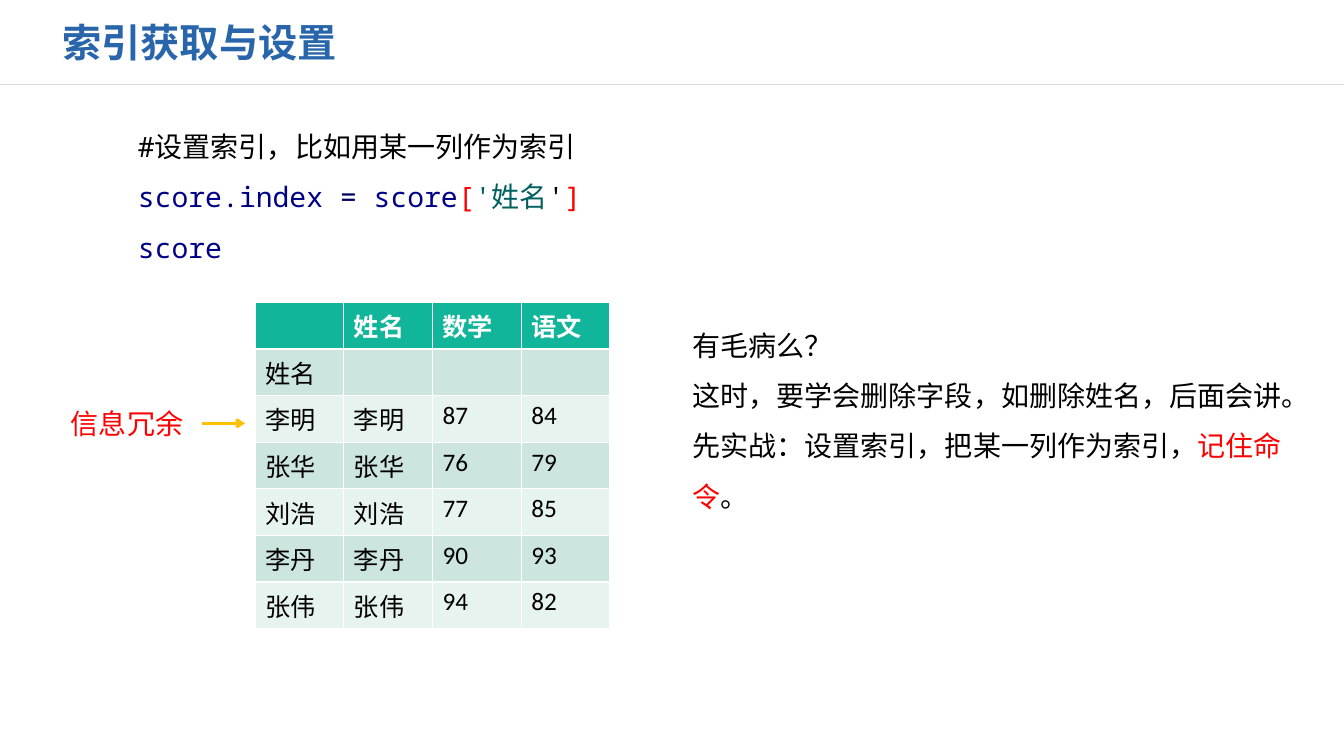
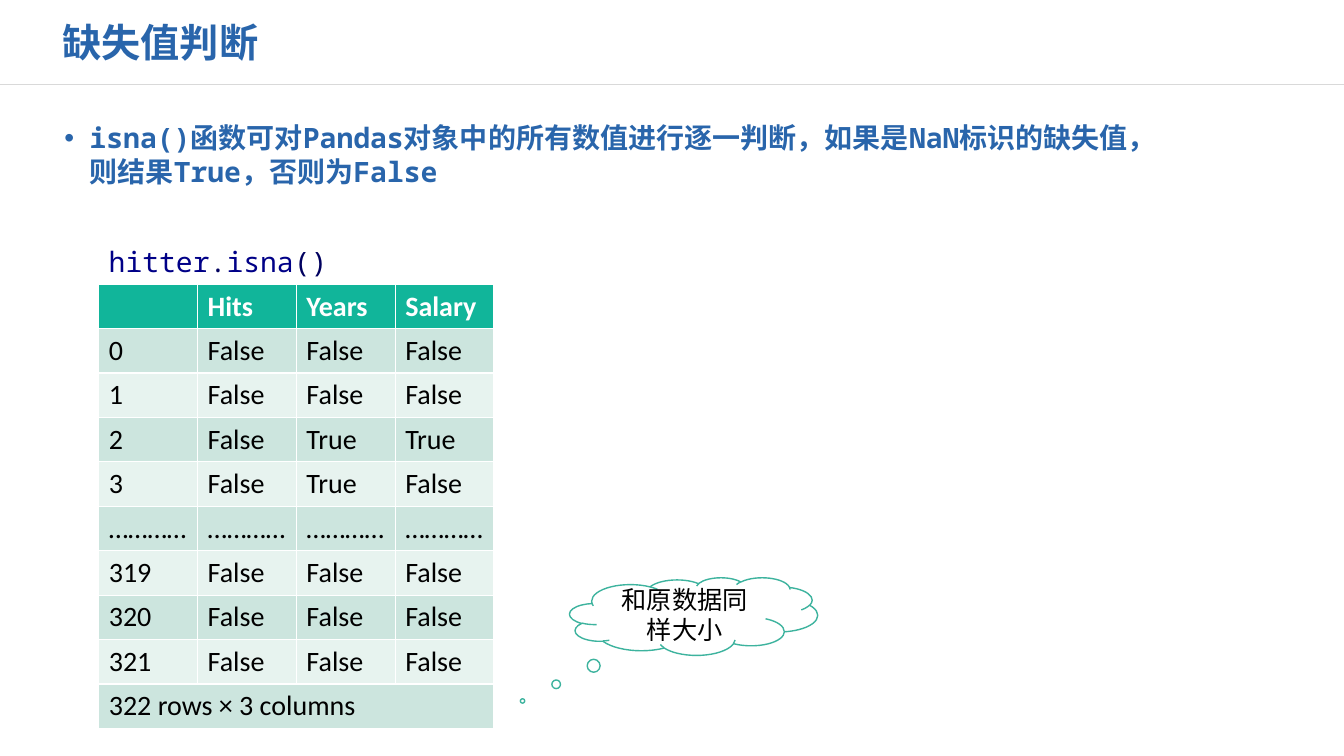
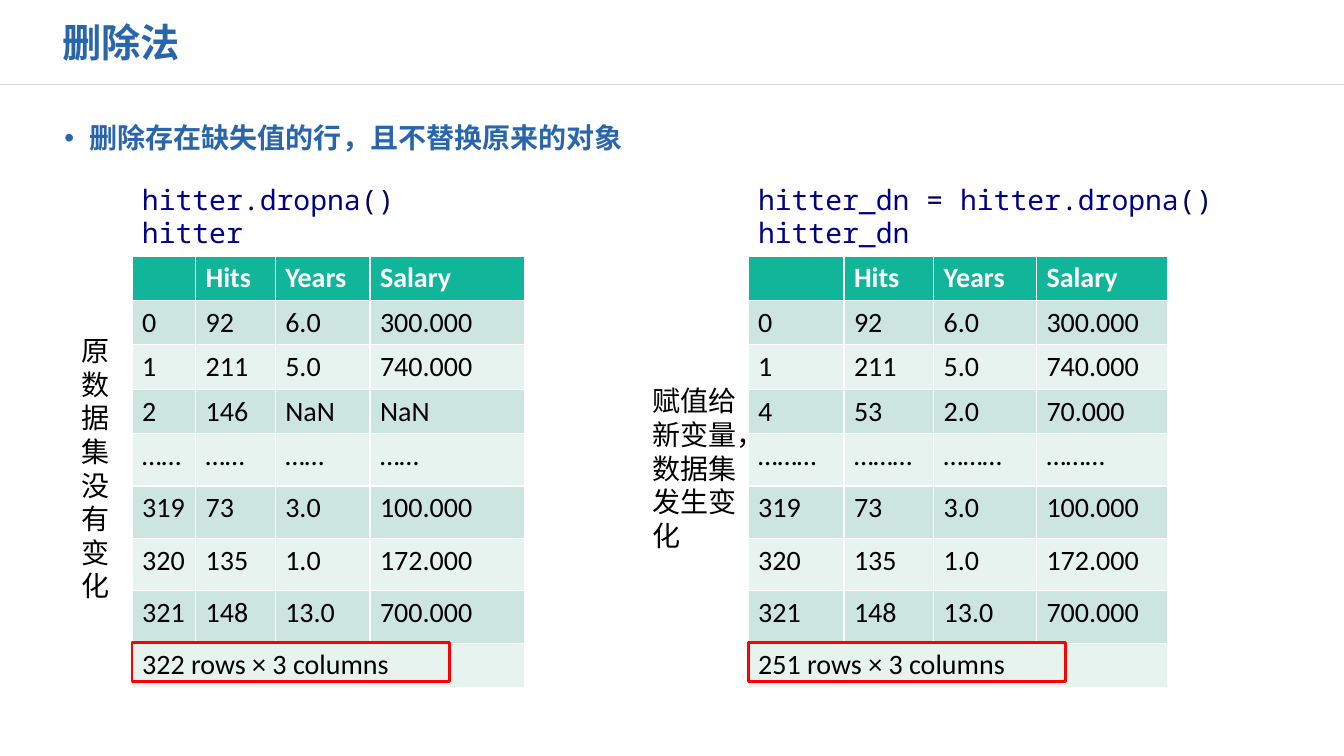
from lxml.etree import SubElement
from pptx import Presentation
from pptx.dml.color import RGBColor
from pptx.enum.shapes import MSO_CONNECTOR as LINK, MSO_SHAPE as SHAPE
from pptx.enum.text import MSO_ANCHOR as ANCHOR, MSO_AUTO_SIZE as FIT, PP_ALIGN as ALIGN
from pptx.oxml.ns import qn
from pptx.util import Emu, Pt

SANS, MONO, LATIN = "Noto Sans CJK SC", "Noto Sans Mono", "Calibri"
BLUE, BLACK, WHITE, RED = "2965AB", "000000", "FFFFFF", "FF0000"
NAME, SIGN, STRING = "000087", "00005F", "005F5F"
HEAD, BANDS = "11B59A", ("E7F3EF", "CCE5DE")
GREY, AMBER, GREEN = "D9D9D9", "FFC000", "3DB39E"


def px(length):
    """Turn px, 100 to the inch, into EMU."""
    return Emu(length * 9144)


def rgb(value):
    """Turn a hex string into a colour."""
    return RGBColor.from_string(value)


class Deck:
    """Hold the shared style and the current slide."""

    def __init__(self):
        """Start an empty wide presentation."""
        self.file = Presentation()
        self.file.slide_width, self.file.slide_height = px(1333), px(750)

    def new_slide(self, title):
        """Add a slide with its title and the rule below it."""
        self.slide = self.file.slides.add_slide(self.file.slide_layouts[5])
        self.line((0, 84), (1333, 84), GREY, 1)
        heading = self.slide.shapes.title
        heading.left, heading.top, heading.width, heading.height = map(px, (52, 13, 532, 58))
        self.typeset(heading.text_frame, [title], SANS, 28, BLUE, bold=True, before=10)
        heading.text_frame.vertical_anchor = ANCHOR.MIDDLE

    def typeset(self, frame, paragraphs, font, size, color, bold=False,
                align=ALIGN.LEFT, spacing=None, before=None):
        """Fill a frame with paragraphs of plain text or (text, colour) runs."""
        frame.word_wrap, frame.auto_size = True, FIT.NONE
        for index, content in enumerate(paragraphs):
            paragraph = frame.add_paragraph() if index else frame.paragraphs[0]
            paragraph.alignment = align
            if spacing:
                paragraph.line_spacing = spacing
            if before:
                paragraph.space_before = Pt(before)
            style = paragraph.font
            style.name, style.size, style.bold = font, Pt(size), bold
            style.color.rgb = rgb(color)
            defaults = paragraph._p.pPr.find(qn("a:defRPr"))
            SubElement(defaults, qn("a:ea"), typeface=SANS)
            if isinstance(content, str):
                content = [(content, color)]
            for text, run_color in content:
                run = paragraph.add_run()
                run.text = text
                if run_color != color:
                    run.font.color.rgb = rgb(run_color)

    def text(self, box, paragraphs, font=SANS, size=20, color=BLACK, **style):
        """Add a text box."""
        label = self.slide.shapes.add_textbox(*map(px, box))
        self.typeset(label.text_frame, paragraphs, font, size, color, **style)
        return label

    def bullet(self, content, font):
        """Add the bulleted lead sentence."""
        lead = self.text((54, 115, 1102, 535), [content], font, color=BLUE, bold=True, before=10)
        props = lead.text_frame.paragraphs[0]._p.pPr
        props.set("marL", str(px(25)))
        props.set("indent", str(-px(25)))
        tint = SubElement(props, qn("a:buClr"))
        SubElement(tint, qn("a:srgbClr"), val=BLUE)
        face = SubElement(props, qn("a:buFont"), typeface="Arial")
        mark = SubElement(props, qn("a:buChar"), char="•")
        defaults = props.find(qn("a:defRPr"))
        for part in (tint, face, mark):
            defaults.addprevious(part)

    def code(self, box, lines, **style):
        """Add lines of coloured code."""
        self.text(box, lines, MONO, color=NAME, **style)

    def line(self, start, end, color, width, arrow=False, source=None):
        """Add a straight line, with an arrowhead or a joined start if asked."""
        link = self.slide.shapes.add_connector(LINK.STRAIGHT, *map(px, start + end))
        link.line.color.rgb, link.line.width = rgb(color), Pt(width)
        props = link._element.spPr
        if arrow:
            SubElement(props.find(qn("a:ln")), qn("a:tailEnd"), type="arrow")
        SubElement(props, qn("a:effectLst"))
        if source is not None:
            link.begin_connect(source, 3)

    def shape(self, kind, box, color, width, fill=None):
        """Add an outlined shape, hollow unless it has a fill."""
        figure = self.slide.shapes.add_shape(kind, *map(px, box))
        figure.shadow.inherit = False
        figure.line.color.rgb, figure.line.width = rgb(color), Pt(width)
        if fill:
            figure.fill.solid()
            figure.fill.fore_color.rgb = rgb(fill)
        else:
            figure.fill.background()
        return figure

    def table(self, corner, widths, heights, rows, size=20):
        """Add a banded table; a row with a single entry spans all columns."""
        box = corner + (sum(widths), sum(heights))
        grid = self.slide.shapes.add_table(len(rows), len(widths), *map(px, box)).table
        for column, width in zip(grid.columns, widths):
            column.width = px(width)
        for index, (entries, height) in enumerate(zip(rows, heights)):
            grid.rows[index].height = px(height)
            if len(entries) == 1:
                grid.cell(index, 0).merge(grid.cell(index, len(widths) - 1))
            for column in range(len(widths)):
                cell = grid.cell(index, column)
                cell.fill.solid()
                cell.fill.fore_color.rgb = rgb(BANDS[index % 2] if index else HEAD)
                if column < len(entries) and entries[column]:
                    self.typeset(cell.text_frame, [entries[column]], LATIN, size,
                                 BLACK if index else WHITE, bold=not index)


def index_slide(deck):
    """Build the slide on setting an index."""
    deck.new_slide("索引获取与设置")
    deck.code((127, 107, 469, 156), [
        [("#设置索引，比如用某一列作为索引", BLACK)],
        [("score", NAME), (".", SIGN), ("index ", NAME), ("= ", SIGN), ("score", NAME),
         ("[", RED), ("'姓名", STRING), ("'", BLACK), ("]", RED)],
        "score",
    ], spacing=1.5)
    scores = [("李明", "87", "84"), ("张华", "76", "79"), ("刘浩", "77", "85"),
              ("李丹", "90", "93"), ("张伟", "94", "82")]
    rows = [("", "姓名", "数学", "语文"), ("姓名", "", "", "")]
    rows += [(student, student, maths, chinese) for student, maths, chinese in scores]
    deck.table((253, 300), [88] * 4, [40] * 7, rows, size=18)
    redundant = deck.text((52, 398, 148, 44), ["信息冗余"], color=RED, align=ALIGN.CENTER)
    deck.line((200, 420), (243, 420), AMBER, 2, arrow=True, source=redundant)
    deck.text((677, 304, 605, 206), [
        "有毛病么？",
        "这时，要学会删除字段，如删除姓名，后面会讲。",
        [("先实战：设置索引，把某一列作为索引，", BLACK), ("记住命令", RED), ("。", BLACK)],
    ], LATIN, spacing=1.5)


def missing_slide(deck):
    """Build the slide on finding missing values."""
    deck.new_slide("缺失值判断")
    deck.bullet("isna()函数可对Pandas对象中的所有数值进行逐一判断，"
                "如果是NaN标识的缺失值，则结果True，否则为False", MONO)
    deck.code((98, 238, 264, 44),
              [[("hitter", NAME), (".", SIGN), ("isna", NAME), ("()", SIGN)]])
    thought = deck.shape(SHAPE.CLOUD_CALLOUT, (565, 573, 246, 77), GREEN, 1, WHITE)
    thought.adjustments[0], thought.adjustments[1] = -0.69, 1.09
    deck.typeset(thought.text_frame, ["和原数据同样大小"], SANS, 18, BLACK, align=ALIGN.CENTER)
    thought.text_frame.vertical_anchor = ANCHOR.MIDDLE
    known = ("False",) * 3
    rows = [("", "Hits", "Years", "Salary"), ("0", *known), ("1", *known),
            ("2", "False", "True", "True"), ("3", "False", "True", "False"),
            ("…………",) * 4, ("319", *known), ("320", *known), ("321", *known),
            ("322 rows × 3 columns",)]
    deck.table((98, 282), [98] * 4, [43] * 10, rows)


def dropping_slide(deck):
    """Build the slide on dropping rows with missing values."""
    deck.new_slide("删除法")
    deck.bullet("删除存在缺失值的行，且不替换原来的对象", SANS)
    call = [("hitter", NAME), (".", SIGN), ("dropna", NAME), ("()", SIGN)]
    assigned = [("hitter_dn ", NAME), ("= ", SIGN)] + call
    versions = [
        (131, 667, [call, "hitter"], [63, 79, 94, 153],
         ("2", "146", "NaN", "NaN"), "……", "322 rows × 3 columns"),
        (742, 524, [assigned, "hitter_dn"], [95, 89, 102, 130],
         ("4", "53", "2.0", "70.000"), "………", "251 rows × 3 columns"),
    ]
    for left, code_width, lines, widths, third, dots, total in versions:
        deck.code((left, 176, code_width, 77), lines)
        rows = [("", "Hits", "Years", "Salary"), ("0", "92", "6.0", "300.000"),
                ("1", "211", "5.0", "740.000"), third, (dots,) * 4,
                ("319", "73", "3.0", "100.000"), ("320", "135", "1.0", "172.000"),
                ("321", "148", "13.0", "700.000"), (total,)]
        deck.table((left, 254), widths, [40] * 4 + [52] * 4 + [40], rows)
        deck.shape(SHAPE.RECTANGLE, (left, 637, 315, 39), RED, 2)
    deck.text((71, 326, 40, 279), ["原数据集没有变化"])
    deck.text((637, 376, 104, 178), ["赋值给新变量，数据集发生变化"])


def main():
    """Build and save the slides."""
    deck = Deck()
    for build in (index_slide, missing_slide, dropping_slide):
        build(deck)
    deck.file.save("out.pptx")


if __name__ == "__main__":
    main()
